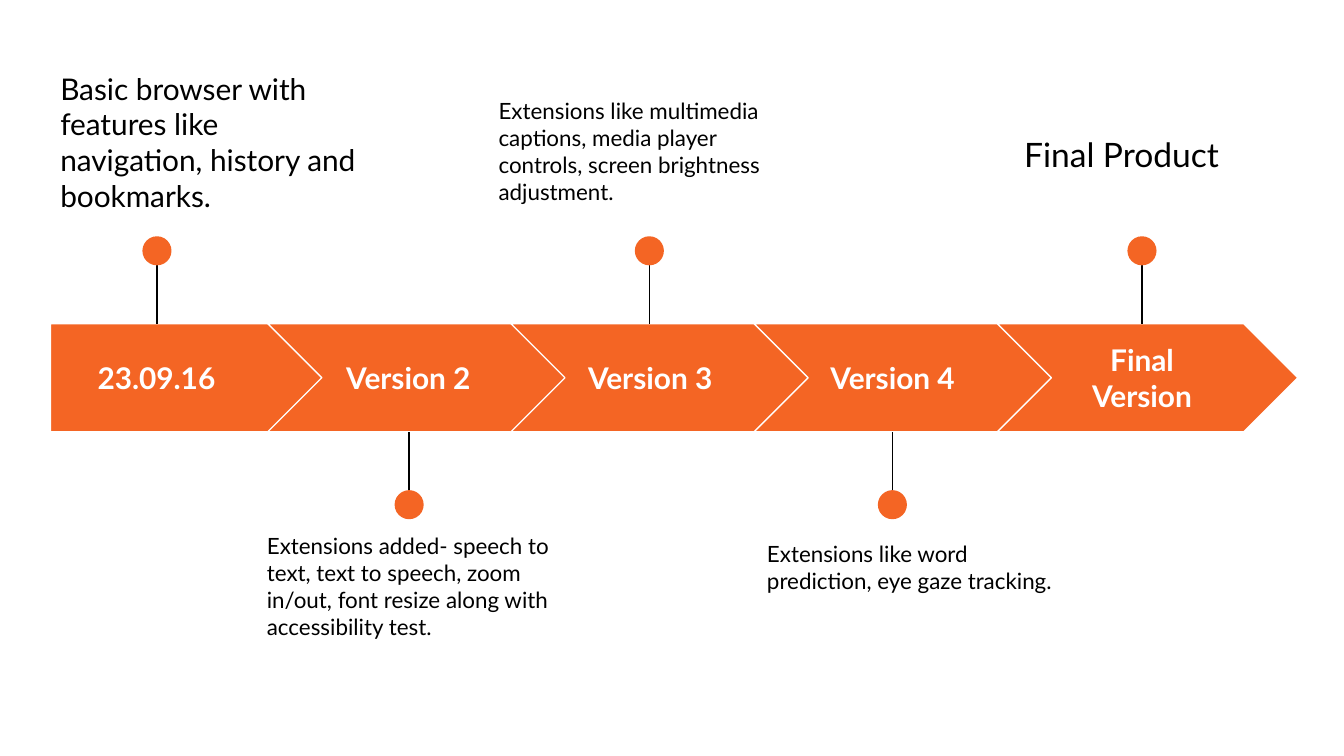
from pptx import Presentation
from pptx.dml.color import RGBColor
from pptx.enum.shapes import MSO_CONNECTOR, MSO_SHAPE
from pptx.enum.text import MSO_ANCHOR, PP_ALIGN
from pptx.oxml.ns import qn
from pptx.util import Pt
from lxml import etree

PENTAGON, CHEVRON, OVAL = MSO_SHAPE.PENTAGON, MSO_SHAPE.CHEVRON, MSO_SHAPE.OVAL
STRAIGHT = MSO_CONNECTOR.STRAIGHT
TOP, MIDDLE = MSO_ANCHOR.TOP, MSO_ANCHOR.MIDDLE
LEFT, CENTER = PP_ALIGN.LEFT, PP_ALIGN.CENTER

# Content: label, label (left, width, alignment), pin x, note, note box, note size
STEPS = [
    ("23.09.16", (26.6, 114.5, CENTER), 84.1,
     "Basic browser with features like navigation, history and bookmarks.",
     (25.2, 30.4, 176.4, 71.3), "medium"),
    ("Version 2", (178.4, 103.7, LEFT), 219.2,
     "Extensions added- speech to text, text to speech, zoom in/out, "
     "font resize along with accessibility test.",
     (135.9, 278, 176.4, 89.3), "small"),
    ("Version 3", (296.5, 103.7, CENTER), 347.9,
     "Extensions like multimedia captions, media player controls, "
     "screen brightness adjustment.",
     (260, 44.8, 176.4, 71.3), "small"),
    ("Version 4", (426.4, 103.7, CENTER), 478.1,
     "Extensions like word prediction, eye gaze tracking.",
     (403.8, 282.2, 176.4, 67.7), "small"),
    ("Final Version", (560, 103.7, CENTER), 611.8,
     "Final Product", (541.6, 64.8, 161.3, 36.7), "large"),
]

THEME = {
    "font": "Lato",
    "accent": RGBColor(0xF4, 0x65, 0x24),
    "white": RGBColor(0xFF, 0xFF, 0xFF),
    "black": RGBColor(0, 0, 0),
    "line": 0.75,
    "small": 12, "medium": 16, "large": 18,
}

# Geometry in points
BAR_TOP, BAR_HEIGHT = 173.4, 58
FIRST_LEFT, FIRST_WIDTH = 27, 147.6
CHEVRON_LEFT, CHEVRON_WIDTH, CHEVRON_PITCH = 143.4, 161, 130.3
LABEL_TOP, LABEL_HEIGHT = 184.1, 36.7
DOT, DOT_GAP = 15.6, 31.2
INSET = 7.2


def add_block(slide, kind, left, top, width, height, outline=None):
    shape = slide.shapes.add_shape(kind, Pt(left), Pt(top), Pt(width), Pt(height))
    shape.shadow.inherit = False
    shape.fill.solid()
    shape.fill.fore_color.rgb = THEME["accent"]
    if outline is None:
        shape.line.fill.background()
    else:
        shape.line.color.rgb = outline
        shape.line.width = Pt(THEME["line"])
    return shape


def add_text(slide, text, box, size, color, bold=False, alignment=LEFT, anchor=TOP):
    frame = slide.shapes.add_textbox(*(Pt(value) for value in box)).text_frame
    frame.word_wrap = True
    frame.vertical_anchor = anchor
    frame.margin_left = frame.margin_right = Pt(INSET)
    frame.margin_top = frame.margin_bottom = Pt(INSET)
    frame.text = text
    paragraph = frame.paragraphs[0]
    paragraph.alignment = alignment
    font = paragraph.runs[0].font
    font.name, font.size, font.bold = THEME["font"], Pt(THEME[size]), bold
    font.color.rgb = color


def add_pin(slide, x, above):
    if above:
        edge = BAR_TOP
        center = edge - DOT_GAP - DOT / 2
    else:
        edge = BAR_TOP + BAR_HEIGHT
        center = edge + DOT_GAP + DOT / 2
    stem = slide.shapes.add_connector(STRAIGHT, Pt(x), Pt(center), Pt(x), Pt(edge))
    stem.line.color.rgb = THEME["black"]
    stem.line.width = Pt(THEME["line"])
    etree.SubElement(stem._element.spPr, qn("a:effectLst"))
    add_block(slide, OVAL, x - DOT / 2, center - DOT / 2, DOT, DOT)


def main():
    presentation = Presentation()
    presentation.slide_width, presentation.slide_height = Pt(720), Pt(405)
    slide = presentation.slides.add_slide(presentation.slide_layouts[6])

    for index, (label, label_place, pin_x, note, note_box, note_size) in enumerate(STEPS):
        # Arrow segment
        if index == 0:
            kind, left, width = PENTAGON, FIRST_LEFT, FIRST_WIDTH
        else:
            kind, width = CHEVRON, CHEVRON_WIDTH
            left = CHEVRON_LEFT + (index - 1) * CHEVRON_PITCH
        arrow = add_block(slide, kind, left, BAR_TOP, width, BAR_HEIGHT, THEME["white"])
        arrow.adjustments[0] = 0.5

        # Segment label
        label_left, label_width, alignment = label_place
        add_text(slide, label, (label_left, LABEL_TOP, label_width, LABEL_HEIGHT),
                 "medium", THEME["white"], True, alignment, MIDDLE)

        # Pins and notes alternate above and below the bar
        add_pin(slide, pin_x, above=index % 2 == 0)
        add_text(slide, note, note_box, note_size, THEME["black"])

    presentation.save("out.pptx")


if __name__ == "__main__":
    main()
